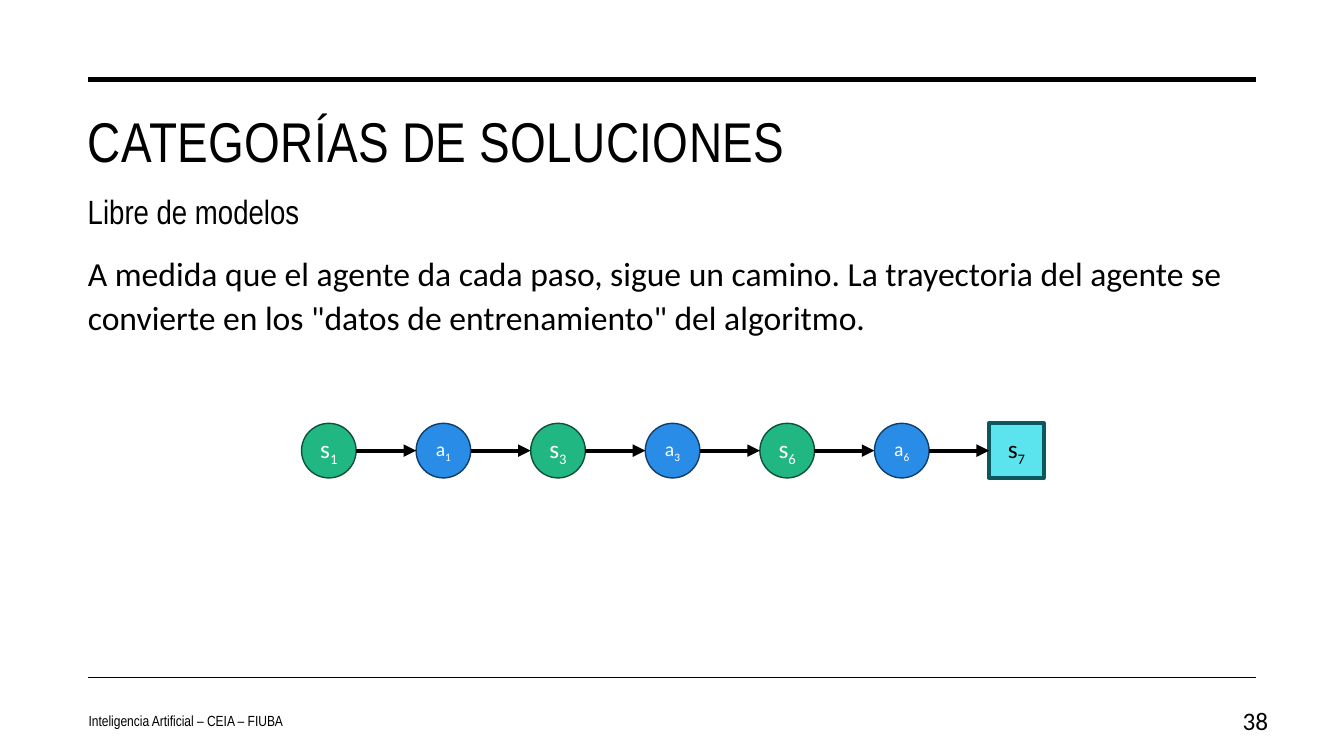
from pptx import Presentation
from pptx.dml.color import RGBColor
from pptx.enum.shapes import MSO_CONNECTOR, MSO_SHAPE
from pptx.enum.text import MSO_ANCHOR, MSO_AUTO_SIZE, PP_ALIGN
from pptx.oxml.ns import qn
from pptx.util import Pt
from lxml.etree import SubElement

BLACK = "000000"
WHITE = "FFFFFF"
NARROW = "Arial Narrow"
SANS = "Calibri"
STATE = (MSO_SHAPE.OVAL, "21B782", "0E5039", 1, 18, WHITE)
ACTION = (MSO_SHAPE.OVAL, "298CE7", "123D65", 1, 14, WHITE)
FINAL = (MSO_SHAPE.RECTANGLE, "5BE4EE", "0A585E", 3, 18, BLACK)
STEPS = [("s", "1", STATE), ("a", "1", ACTION), ("s", "3", STATE),
         ("a", "3", ACTION), ("s", "6", STATE), ("a", "6", ACTION),
         ("s", "7", FINAL)]
LEFT, TOP, SIZE, PITCH = 215.4, 302.4, 39, 81.85


def assign(target, values):
    for name, value in values.items():
        setattr(target, name, value)


def paint(color, code):
    color.rgb = RGBColor.from_string(code)


def write(para, text, size, face, code=BLACK):
    run = para.add_run()
    run.text = text
    assign(run.font, {"size": Pt(size), "name": face})
    paint(run.font.color, code)
    return run


def fill(shape, text, size, face, anchor=MSO_ANCHOR.TOP, **style):
    assign(shape.text_frame, {"word_wrap": True, "vertical_anchor": anchor,
                              "auto_size": MSO_AUTO_SIZE.NONE})
    para = shape.text_frame.paragraphs[0]
    assign(para, style)
    return write(para, text, size, face)


def place(shape, left, top, width, height):
    assign(shape, {"left": Pt(left), "top": Pt(top),
                   "width": Pt(width), "height": Pt(height)})


def label(slide, box, *args, **style):
    shape = slide.shapes.add_textbox(*map(Pt, box))
    fill(shape, *args, **style)


def rule(slide, start, end, y, weight, arrow=False):
    line = slide.shapes.add_connector(
        MSO_CONNECTOR.STRAIGHT, Pt(start), Pt(y), Pt(end), Pt(y))
    paint(line.line.color, BLACK)
    line.line.width = Pt(weight)
    if arrow:
        SubElement(line.line._get_or_add_ln(), qn("a:tailEnd"), type="triangle")
    SubElement(line._element.spPr, qn("a:effectLst"))


def node(slide, left, name, index, kind):
    form, inner, edge, weight, size, ink = kind
    shape = slide.shapes.add_shape(form, Pt(left), Pt(TOP), Pt(SIZE), Pt(SIZE))
    shape.shadow.inherit = False
    shape.fill.solid()
    paint(shape.fill.fore_color, inner)
    paint(shape.line.color, edge)
    shape.line.width = Pt(weight)
    shape.text_frame.vertical_anchor = MSO_ANCHOR.MIDDLE
    para = shape.text_frame.paragraphs[0]
    para.alignment = PP_ALIGN.CENTER
    write(para, name, size, SANS, ink)
    sub = write(para, index, size, SANS, ink)
    sub.font._element.set("baseline", "-25000")


def chain(slide):
    for i, step in enumerate(STEPS):
        node(slide, LEFT + i * PITCH, *step)
    for i in range(len(STEPS) - 1):
        start = LEFT + i * PITCH + SIZE
        rule(slide, start, start + PITCH - SIZE, TOP + SIZE / 2, 3, True)


def main():
    deck = Presentation()
    assign(deck, {"slide_width": Pt(960), "slide_height": Pt(540)})
    slide = deck.slides.add_slide(deck.slide_layouts[1])
    rule(slide, 63.2, 897.2, 56.9, 3.5)
    rule(slide, 63.2, 897.2, 483.8, 1)

    title, body = slide.placeholders
    place(title, 55.6, 72.7, 841.7, 108)
    run = fill(title, "CATEGORÍAS DE SOLUCIONES", 40, NARROW,
               alignment=PP_ALIGN.LEFT)
    run.font._element.set("spc", "30")

    place(body, 55.6, 174.2, 841.7, 304.6)
    props = body.text_frame.paragraphs[0]._p.get_or_add_pPr()
    for name in ("marL", "indent"):
        props.set(name, "0")
    SubElement(props, qn("a:buNone"))
    fill(body, "A medida que el agente da cada paso, sigue un camino. "
         "La trayectoria del agente se convierte en los "
         "\"datos de entrenamiento\" del algoritmo.", 24, SANS,
         line_spacing=1.1, space_before=Pt(0))

    label(slide, (55.6, 132.5, 863.3, 36), "Libre de modelos", 24, NARROW)
    label(slide, (56.2, 500.4, 357, 28.8),
          "Inteligencia Artificial – CEIA – FIUBA", 10.5, NARROW,
          MSO_ANCHOR.MIDDLE, space_after=Pt(6))
    label(slide, (859.7, 500.4, 53.3, 28.8), "38", 18, SANS,
          MSO_ANCHOR.MIDDLE, alignment=PP_ALIGN.RIGHT)
    chain(slide)
    deck.save("out.pptx")


if __name__ == "__main__":
    main()
